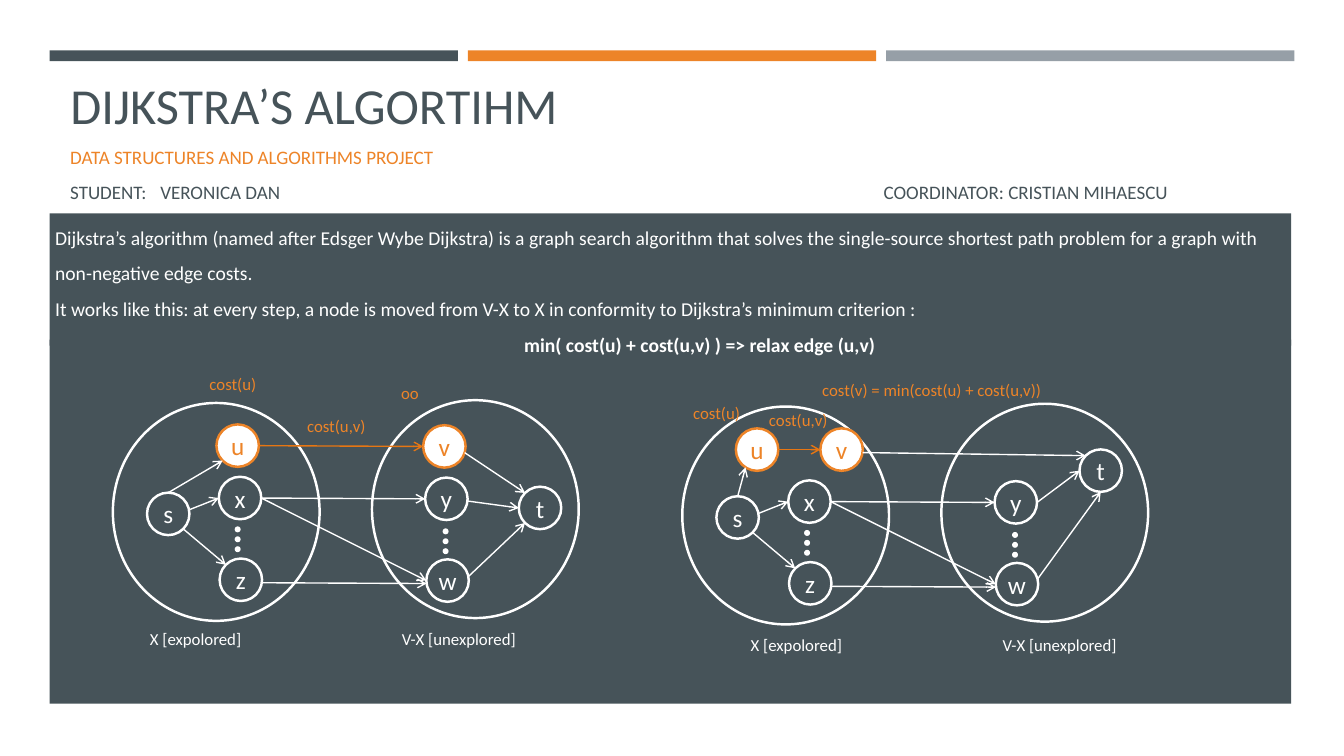
from math import cos, radians, sin

from lxml import etree
from pptx import Presentation
from pptx.dml.color import RGBColor
from pptx.enum.shapes import MSO_CONNECTOR, MSO_SHAPE
from pptx.enum.text import MSO_ANCHOR, PP_ALIGN
from pptx.oxml.ns import qn
from pptx.util import Cm, Pt

RECT, OVAL = MSO_SHAPE.RECTANGLE, MSO_SHAPE.OVAL
LEFT, CENTER = PP_ALIGN.LEFT, PP_ALIGN.CENTER
TOP, MIDDLE, BOTTOM = MSO_ANCHOR.TOP, MSO_ANCHOR.MIDDLE, MSO_ANCHOR.BOTTOM

THEME = {
    "font": "Calibri",
    "dark": "465359", "orange": "ED8428", "gray": "969FA7",
    "white": "FFFFFF", "edge": "E67613",
    "title": 36, "subtitle": 13.6, "body": 14, "node": 18, "label": 12,
    "gap": 8.7, "outline": 1.75, "arrow": 1,
}

TITLE = "DIJKSTRA’S ALGORTIHM"
SUBTITLE = [
    ("DATA STRUCTURES AND ALGORITHMS PROJECT", "orange"),
    ("STUDENT:\tVERONICA DAN\tCOORDINATOR: CRISTIAN MIHAESCU", "dark"),
]
SUBTITLE_TABS = (2.27, 20.5)
BODY = [
    "Dijkstra’s algorithm (named after Edsger Wybe Dijkstra) is a graph search algorithm "
    "that solves the single-source shortest path problem for a graph with",
    "non-negative edge costs.",
    "It works like this: at every step, a node is moved from V-X to X in conformity to "
    "Dijkstra’s minimum criterion :",
]
CRITERION = "min( cost(u) + cost(u,v) ) => relax edge (u,v)"

BARS = ["dark", "orange", "gray"]
PANELS = [(1.25, 8.56, 31.29, 9.17), (1.25, 5.38, 31.29, 3.33)]

SETS = [(5.45, 12.9), (11.98, 12.83)]
SET_SIZE = (5.21, 5.49)
DOT_COLUMNS = [(5.99, 13.34), (11.23, 13.39)]
DOT, DOT_STEP = 0.15, 0.25
NODE = 1.07
ACTIVE = "uv"
NODES = {
    "s": (4.24, 12.95), "x": (6.05, 12.55), "z": (6.07, 14.61),
    "y": (11.25, 12.57), "w": (11.28, 14.63),
}
EDGES = [
    ("u", 0, "v", 180), ("x", 0, "y", 180), ("x", 0, "w", 180),
    ("z", 8, "w", 172), ("s", 45, "z", 225), ("s", -11, "x", 180),
]
GRAPHS = [
    {
        "offset": (0, 0),
        "nodes": {"u": (5.99, 11.23), "v": (11.2, 11.25), "t": (13.61, 12.8)},
        "edges": [("s", 270, "u", 135), ("v", 17, "t", 225),
                  ("y", 6, "t", 180), ("w", -11, "t", 135)],
        "labels": [("cost(u,v)", 7.49, 10.36, 2.01), ("cost(u)", 5.03, 9.3, 1.73),
                   ("oo", 9.86, 9.53, 0.99)],
        "captions": (3.53, 15.72),
    },
    {
        "offset": (14.35, 0.09),
        "nodes": {"u": (4.73, 11.24), "v": (6.86, 11.24), "t": (13.39, 11.77)},
        "edges": [("s", 270, "u", 123), ("v", 8, "t", 225),
                  ("y", 0, "t", 180), ("w", -14, "t", 90)],
        "labels": [("cost(u,v)", 4.78, 10.12, 2.01), ("cost(u)", 2.87, 9.94, 1.73),
                   ("cost(v) = min(cost(u) + cost(u,v))", 6.12, 9.36, 6.32)],
        "captions": (4.32, 15.79),
    },
]
CAPTIONS = [("X [expolored]", 0, 3), ("V-X [unexplored]", 6.35, 3.56)]


def color(name):
    return RGBColor.from_string(THEME[name])


def write(p, text, size, ink, align=LEFT, bold=False):
    p.text = text
    p.alignment = align
    p.space_before, p.space_after = Pt(0), Pt(THEME["gap"])
    for r in p.runs:
        r.font.name, r.font.size, r.font.bold = THEME["font"], Pt(THEME[size]), bold
        r.font.color.rgb = color(ink)


def add_shape(kind, x, y, w, h, fill=None, line=None):
    sp = s.shapes.add_shape(kind, Cm(x), Cm(y), Cm(w), Cm(h))
    sp.shadow.inherit = False
    if fill:
        sp.fill.solid()
        sp.fill.fore_color.rgb = color(fill)
    else:
        sp.fill.background()
    if line:
        sp.line.color.rgb = color(line)
        sp.line.width = Pt(THEME["outline"])
    else:
        sp.line.fill.background()
    return sp


def add_oval(x, y, w, h, fill=None, line=None):
    return add_shape(OVAL, x - w / 2, y - h / 2, w, h, fill, line)


def add_box(x, y, w, h, wrap=True):
    tf = s.shapes.add_textbox(Cm(x), Cm(y), Cm(w), Cm(h)).text_frame
    tf.word_wrap = wrap
    return tf


def add_label(text, x, y, w, ink):
    write(add_box(x, y, w, 0.76, False).paragraphs[0], text, "label", ink)


def add_node(name, x, y):
    ink = "orange" if name in ACTIVE else "white"
    sp = add_oval(x, y, NODE, NODE, "white" if name in ACTIVE else None, ink)
    tf = sp.text_frame
    tf.margin_left = tf.margin_right = tf.margin_top = tf.margin_bottom = 0
    tf.vertical_anchor, tf.word_wrap = MIDDLE, False
    write(tf.paragraphs[0], name, "node", ink, CENTER)
    tf.paragraphs[0].space_after = Pt(0)


def rim(center, angle):
    a = radians(angle)
    return Cm(center[0] + NODE / 2 * cos(a)), Cm(center[1] + NODE / 2 * sin(a))


def add_edge(start, end, ink):
    c = s.shapes.add_connector(MSO_CONNECTOR.STRAIGHT, *start, *end)
    c.line.color.rgb = color(ink)
    c.line.width = Pt(THEME["arrow"])
    etree.SubElement(c.line._get_or_add_ln(), qn("a:tailEnd"), type="arrow")
    etree.SubElement(c._element.spPr, qn("a:effectLst"))


def add_graph(graph):
    dx, dy = graph["offset"]
    for x, y in SETS:
        add_oval(x + dx, y + dy, *SET_SIZE, line="white")
    nodes = {name: (x + dx, y + dy) for name, (x, y) in (NODES | graph["nodes"]).items()}
    for name, center in nodes.items():
        add_node(name, *center)
    for x, y in DOT_COLUMNS:
        for i in range(3):
            add_oval(x + dx, y + dy + i * DOT_STEP, DOT, DOT, "white")
    for a, a_angle, b, b_angle in EDGES + graph["edges"]:
        ink = "edge" if a + b == ACTIVE else "white"
        add_edge(rim(nodes[a], a_angle), rim(nodes[b], b_angle), ink)
    for text, x, y, w in graph["labels"]:
        add_label(text, x + dx, y + dy, w, "orange")
    left, top = graph["captions"]
    for text, shift, w in CAPTIONS:
        add_label(text, left + shift + dx, top + dy, w, "white")


prs = Presentation()
prs.slide_width, prs.slide_height = Cm(33.87), Cm(19.05)
s = prs.slides.add_slide(prs.slide_layouts[5])

title = s.shapes.title
title.left, title.top, title.width, title.height = Cm(1.52), Cm(-0.56), Cm(30.53), Cm(4.09)
title.text_frame.vertical_anchor = BOTTOM
write(title.text_frame.paragraphs[0], TITLE, "title", "dark")
title.text_frame.paragraphs[0].space_after = Pt(0)

for i, fill in enumerate(BARS):
    add_shape(RECT, 1.25 + i * 10.54, 1.27, 10.29, 0.27, fill)
for panel in PANELS:
    add_shape(RECT, *panel, "dark")

tf = add_box(1.52, 3.53, 30.53, 1.65)
for i, (text, ink) in enumerate(SUBTITLE):
    p = tf.add_paragraph() if i else tf.paragraphs[0]
    write(p, text, "subtitle", ink)
tabs = etree.SubElement(p._p.get_or_add_pPr(), qn("a:tabLst"))
for position in SUBTITLE_TABS:
    etree.SubElement(tabs, qn("a:tab"), pos=str(Cm(position)), algn="l")

tf = add_box(1.14, 5.56, 31.72, 3.9)
tf.vertical_anchor = TOP
for i, text in enumerate(BODY):
    write(tf.add_paragraph() if i else tf.paragraphs[0], text, "body", "white")
p = tf.add_paragraph()
write(p, CRITERION, "body", "white", CENTER, True)
p._p.get_or_add_pPr().set("marL", str(Cm(1.27)))

for graph in GRAPHS:
    add_graph(graph)

prs.save("out.pptx")
